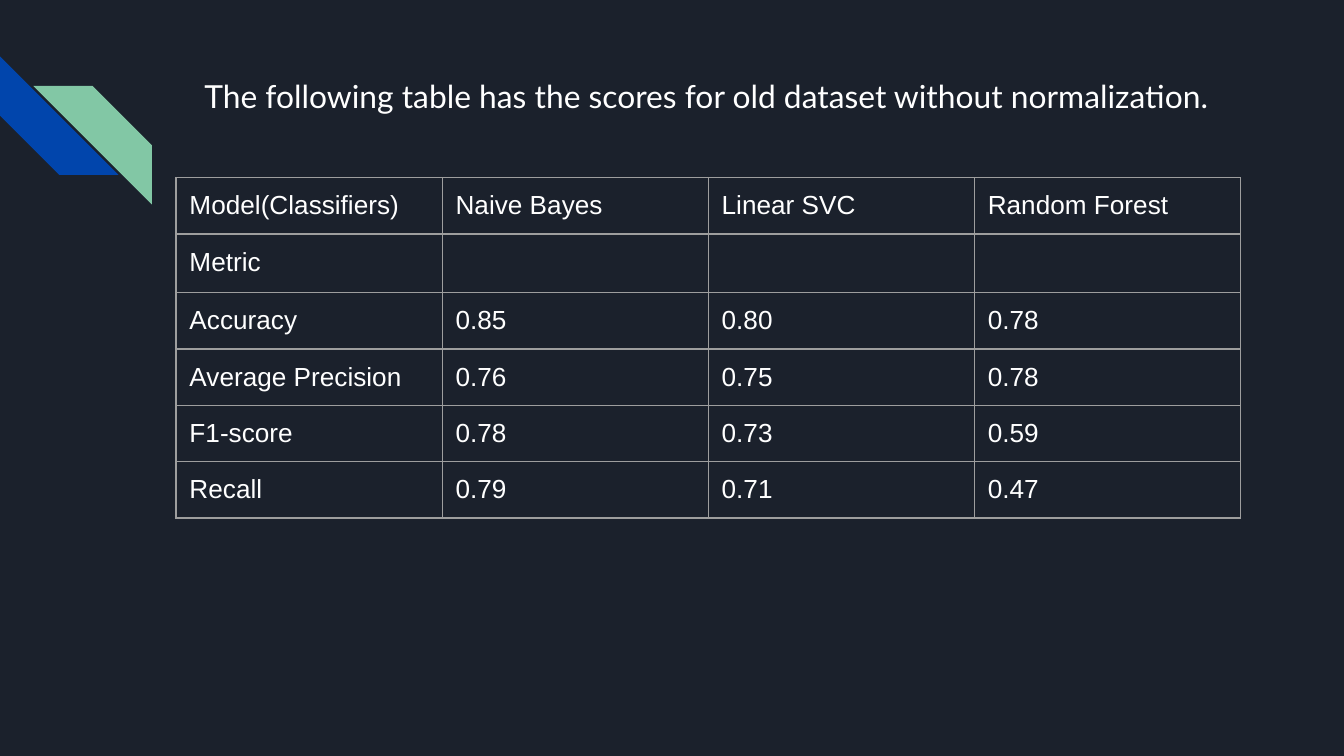
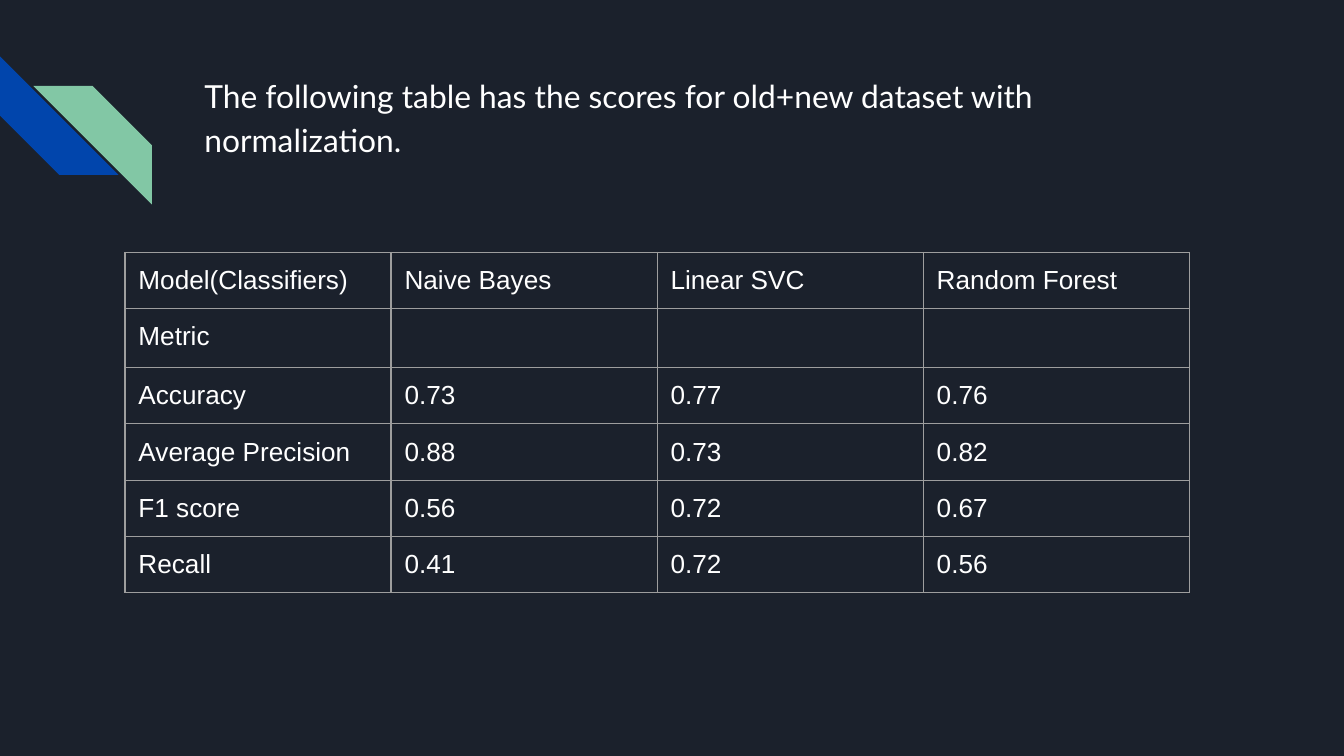
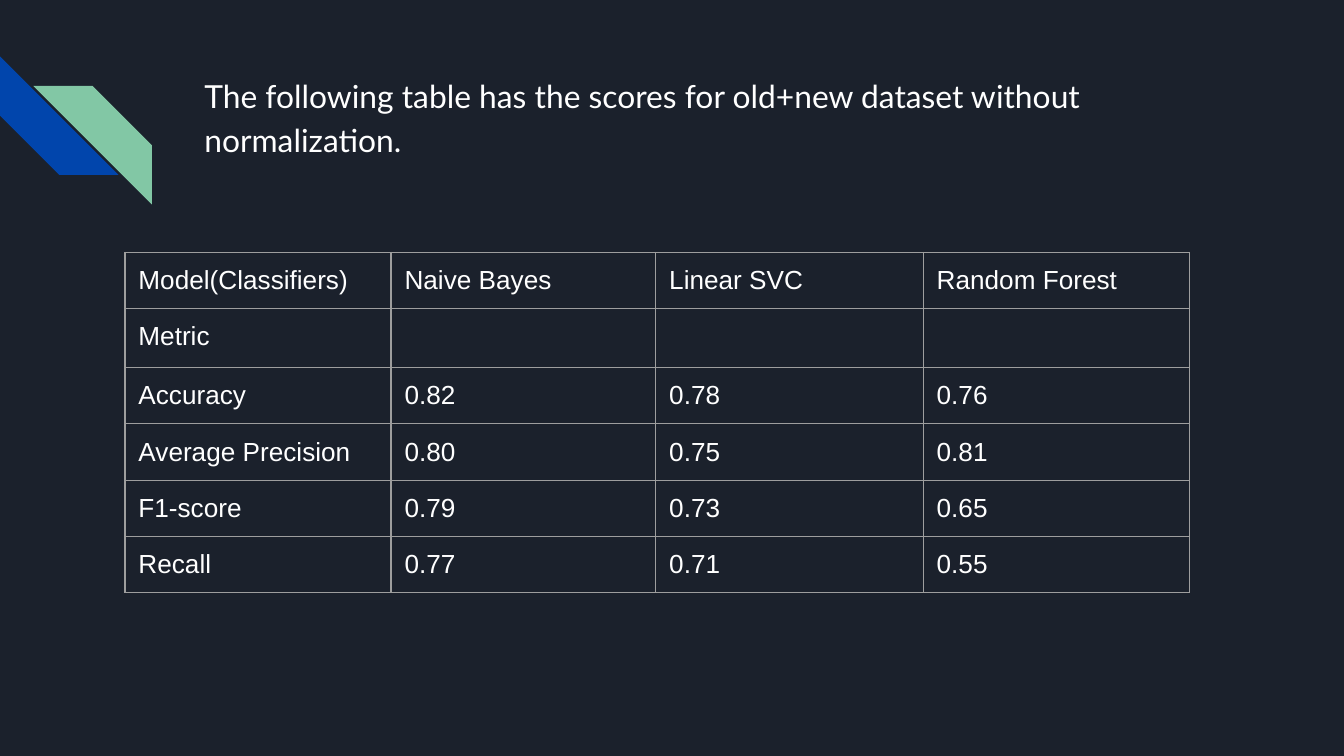
from dataclasses import dataclass

import pptx
import pptx.util
import pptx.dml.color
import pptx.enum.shapes
import pptx.enum.text
import pptx.oxml
import pptx.oxml.ns


@dataclass(frozen=True)
class Theme:
    background: str = "1B212C"
    text: str = "FFFFFF"
    blue: str = "0145AC"
    green: str = "82C7A5"
    border: str = "9E9E9E"
    title_font: str = "Lato"
    body_font: str = "Arial"
    title_size: float = 17
    body_size: float = 14
    border_width: float = 0.75
    inset: float = 0.1


@dataclass(frozen=True)
class Box:
    left: int
    top: int
    width: int
    height: int


THEME = Theme()
SLIDE_WIDTH = pptx.util.Inches(10)
SLIDE_HEIGHT = SLIDE_WIDTH * 9 // 16


def share(left, top, width, height):
    """Make a box from percentages of the slide's width and height."""
    return Box(int(SLIDE_WIDTH * left / 100), int(SLIDE_HEIGHT * top / 100),
               int(SLIDE_WIDTH * width / 100), int(SLIDE_HEIGHT * height / 100))


STRIPES_BOX = share(0, 7.47, 11.3, 19.56)
TITLE_BOX = share(14.2, 7.64, 77, 17.78)
UPPER_TABLE = share(13.1, 23.5, 79.2, 44.6)
LOWER_TABLE = share(9.3, 33.4, 79.2, 44.6)

EVEN_COLUMNS = (1, 1, 1, 1)
HEADER = ("Model(Classifiers)", "Naive Bayes", "Linear SVC", "Random Forest")
SUBHEADER = ("Metric", "", "", "")

SLIDES = [
    dict(title="The following table has the scores for old dataset without normalization.",
         box=UPPER_TABLE,
         scores=[("Accuracy", "0.85", "0.80", "0.78"),
                 ("Average Precision", "0.76", "0.75", "0.78"),
                 ("F1-score", "0.78", "0.73", "0.59"),
                 ("Recall", "0.79", "0.71", "0.47")]),
    dict(title="The following table has the scores for old+new dataset with normalization.",
         box=LOWER_TABLE,
         scores=[("Accuracy", "0.73", "0.77", "0.76"),
                 ("Average Precision", "0.88", "0.73", "0.82"),
                 ("F1 score", "0.56", "0.72", "0.67"),
                 ("Recall", "0.41", "0.72", "0.56")]),
    dict(title="The following table has the scores for old+new dataset without normalization.",
         box=LOWER_TABLE, space_after=16, columns=(1.98, 1.97, 1.99, 1.98),
         scores=[("Accuracy", "0.82", "0.78", "0.76"),
                 ("Average Precision", "0.80", "0.75", "0.81"),
                 ("F1-score", "0.79", "0.73", "0.65"),
                 ("Recall", "0.77", "0.71", "0.55")]),
]


def rgb(color):
    return pptx.dml.color.RGBColor.from_string(color)


def write(tf, text, *, font, size, color=THEME.text, line_spacing=None, space_after=0):
    p = tf.paragraphs[0]
    p.alignment = pptx.enum.text.PP_ALIGN.LEFT
    p.line_spacing = line_spacing
    p.space_before = pptx.util.Pt(0)
    p.space_after = pptx.util.Pt(space_after)
    if not text:
        # An empty paragraph takes its height from its end mark.
        end = pptx.oxml.parse_xml(
            f'<a:endParaRPr {pptx.oxml.ns.nsdecls("a")} sz="{size * 100}"/>')
        p._p.append(end)
        return
    r = p.add_run()
    r.text = text
    r.font.name = font
    r.font.size = pptx.util.Pt(size)
    r.font.color.rgb = rgb(color)


def set_insets(frame):
    """Give a text frame or a table cell the same margin on each side."""
    inset = pptx.util.Inches(THEME.inset)
    frame.margin_left = frame.margin_right = inset
    frame.margin_top = frame.margin_bottom = inset


def set_borders(cell):
    tc_pr = cell._tc.get_or_add_tcPr()
    width = pptx.util.Pt(THEME.border_width)
    for i, side in enumerate("LRTB"):
        tc_pr.insert(i, pptx.oxml.parse_xml(
            f'<a:ln{side} {pptx.oxml.ns.nsdecls("a")} w="{width}"><a:solidFill>'
            f'<a:srgbClr val="{THEME.border}"/></a:solidFill></a:ln{side}>'))


def add_stripe(shapes, left, top, side, color):
    sp = shapes.add_shape(pptx.enum.shapes.MSO_SHAPE.DIAGONAL_STRIPE, left, top, side, side)
    sp.shadow.inherit = False
    sp.fill.solid()
    sp.fill.fore_color.rgb = rgb(color)
    sp.line.fill.background()
    return sp


def add_stripes(s, box):
    """Draw two stripes in opposite corners of the box, as one group."""
    group = s.shapes.add_group_shape()
    side = int(box.width * 0.78)
    blue = add_stripe(group.shapes, box.left, box.top, side, THEME.blue)
    blue.rotation = 270
    green = add_stripe(group.shapes, box.left + box.width - side,
                       box.top + box.height - side, side, THEME.green)
    green.element.spPr.xfrm.set("flipH", "1")
    return group


def set_title(s, box, text, space_after):
    title = s.shapes.title
    title.left, title.top, title.width, title.height = box.left, box.top, box.width, box.height
    tf = title.text_frame
    tf.word_wrap = True
    tf.auto_size = pptx.enum.text.MSO_AUTO_SIZE.NONE
    tf.vertical_anchor = pptx.enum.text.MSO_ANCHOR.TOP
    set_insets(tf)
    write(tf, text, font=THEME.title_font, size=THEME.title_size,
          line_spacing=1.15, space_after=space_after)


def add_score_table(s, box, rows, columns):
    table = s.shapes.add_table(len(rows), len(columns), box.left, box.top,
                               box.width, box.height).table
    table.first_row = table.horz_banding = False
    for column, weight in zip(table.columns, columns):
        column.width = int(box.width * weight / sum(columns))
    for row, values in zip(table.rows, rows):
        row.height = box.height // len(rows)
        for cell, value in zip(row.cells, values):
            cell.fill.background()
            set_borders(cell)
            set_insets(cell)
            write(cell.text_frame, value, font=THEME.body_font, size=THEME.body_size)


def add_score_slide(prs, layout, title, box, scores, columns=EVEN_COLUMNS, space_after=0):
    s = prs.slides.add_slide(layout)
    set_title(s, TITLE_BOX, title, space_after)
    add_score_table(s, box, [HEADER, SUBHEADER, *scores], columns)
    return s


def main():
    prs = pptx.Presentation()
    prs.slide_width, prs.slide_height = SLIDE_WIDTH, SLIDE_HEIGHT
    fill = prs.slide_master.background.fill
    fill.solid()
    fill.fore_color.rgb = rgb(THEME.background)

    layout = prs.slide_layouts.get_by_name("Title Only")
    slides = [add_score_slide(prs, layout, **content) for content in SLIDES]
    # Layouts cannot add shapes, so the stripes are drawn on a slide and moved.
    layout.shapes.element.append(add_stripes(slides[0], STRIPES_BOX).element)
    prs.save("out.pptx")


if __name__ == "__main__":
    main()
